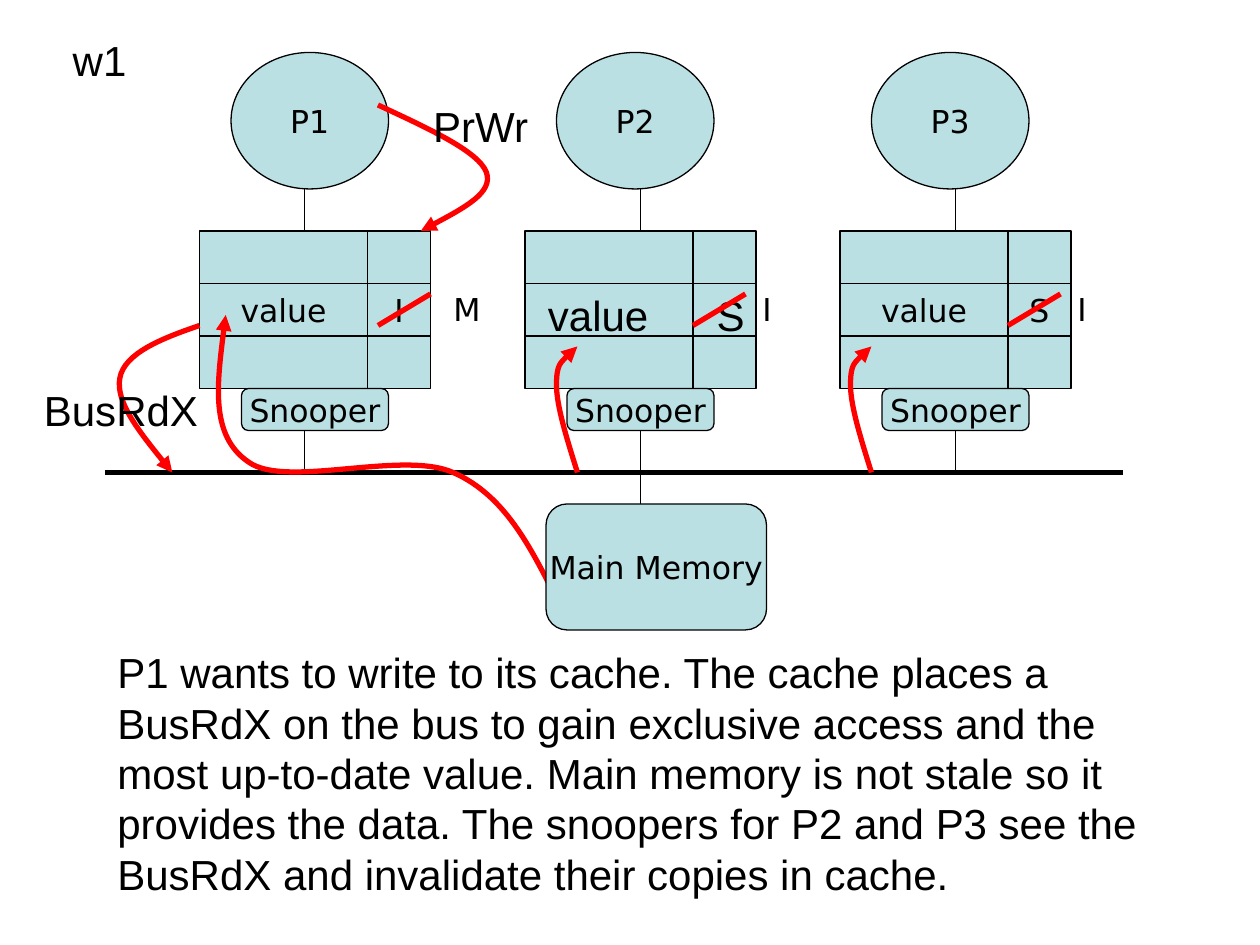
from lxml import etree
from pptx import Presentation
from pptx.dml.color import RGBColor
from pptx.enum.shapes import MSO_CONNECTOR, MSO_SHAPE
from pptx.enum.text import MSO_ANCHOR, MSO_AUTO_SIZE, PP_ALIGN
from pptx.oxml.ns import qn
from pptx.util import Pt

STRAIGHT = MSO_CONNECTOR.STRAIGHT
OVAL, RECT, ROUND = MSO_SHAPE.OVAL, MSO_SHAPE.RECTANGLE, MSO_SHAPE.ROUNDED_RECTANGLE
MIDDLE, CENTER = MSO_ANCHOR.MIDDLE, PP_ALIGN.CENTER
GROW = MSO_AUTO_SIZE.SHAPE_TO_FIT_TEXT
BLACK = RGBColor(0x00, 0x00, 0x00)
RED = RGBColor(0xFF, 0x00, 0x00)
PALE_BLUE = RGBColor(0xBB, 0xE0, 0xE3)
SANS, ARIAL = "DejaVu Sans", "Arial"
THIN, RED_WIDTH, BUS_WIDTH = 0.74, 3, 3.26

CACHE_TOP, ROW_H, VALUE_W, STATE_W = 132, 30, 96, 36
BUS_Y = 270
NODES = [
    ("P1", 114, 174, "value", "I"),
    ("P2", 300, 366, "", ""),
    ("P3", 480, 546, "value", "S"),
]
STRIKES = [(216, 252, "M"), (396, 428.5, "I"), (576, 608.5, "I")]
LABELS = [
    ("w1", 34.5, 16, 45, 36),
    ("value", 306, 162, 76, 36),
    ("S", 402.5, 162, 30, 36),
    ("PrWr", 240.5, 54, 69, 36),
    ("BusRdX", 18, 216, 106, 36),
]
WRITE_ARROW = [(216, 60), (245, 73.5), (273.5, 86.5), (278, 98.5),
               (282, 110), (261.5, 121), (240.5, 132)]
BUS_ARROW = [(114, 186), (92, 193.5), (71, 202), (68.5, 216),
             (66, 229.5), (82, 250), (98.5, 270)]
FILL_ARROW = [(318, 342), (303, 312.5), (288.5, 283), (259, 270),
              (229.5, 257), (163.5, 279.5), (142, 264),
              (120, 249), (124.5, 214.5), (129, 180)]
SNOOP_ARROW = [(12, 270), (6, 251), (0, 232), (0, 220),
               (0, 208), (6, 203), (12, 198)]
EXPLANATION = (
    "P1 wants to write to its cache. The cache places a BusRdX on the bus to gain "
    "exclusive access and the most up-to-date value. Main memory is not stale so it "
    "provides the data. The snoopers for P2 and P3 see the BusRdX and invalidate "
    "their copies in cache."
)


def set_text(shape, text, font, size):
    """Write one paragraph in black and return it."""
    p = shape.text_frame.paragraphs[0]
    p.text = text
    p.font.name, p.font.size = font, Pt(size)
    p.font.color.rgb = BLACK
    return p


def add_box(s, kind, x, y, w, h, text=""):
    """Add a pale blue outlined shape with centred text."""
    sp = s.shapes.add_shape(kind, Pt(x), Pt(y), Pt(w), Pt(h))
    sp.shadow.inherit = False
    sp.fill.solid()
    sp.fill.fore_color.rgb = PALE_BLUE
    sp.line.color.rgb = BLACK
    sp.line.width = Pt(THIN)
    if text:
        sp.text_frame.word_wrap = False
        sp.text_frame.vertical_anchor = MIDDLE
        set_text(sp, text, SANS, 18).alignment = CENTER


def add_label(s, text, x, y, w, h, font=ARIAL, size=24, wrap=False):
    """Add a text box that grows with its text and return its paragraph."""
    sp = s.shapes.add_textbox(Pt(x), Pt(y), Pt(w), Pt(h))
    sp.text_frame.word_wrap = wrap
    sp.text_frame.auto_size = GROW
    return set_text(sp, text, font, size)


def add_line(s, x1, y1, x2, y2, color=BLACK, width=THIN):
    """Add a straight line without a shadow."""
    line = s.shapes.add_connector(STRAIGHT, Pt(x1), Pt(y1), Pt(x2), Pt(y2))
    line.line.color.rgb = color
    line.line.width = Pt(width)
    etree.SubElement(line._element.spPr, qn("a:effectLst"))


def add_curve(s, points):
    """Add a red Bezier arrow from a start point and triples of control points."""
    builder = s.shapes.build_freeform(Pt(points[0][0]), Pt(points[0][1]))
    builder.add_line_segments([(Pt(x), Pt(y)) for x, y in points[1:]], close=False)
    sp = builder.convert_to_shape()
    sp.shadow.inherit = False
    sp.fill.background()
    sp.line.color.rgb = RED
    sp.line.width = Pt(RED_WIDTH)
    etree.SubElement(sp.line._get_or_add_ln(), qn("a:tailEnd"), type="triangle")
    outline = next(sp._element.iter(qn("a:path")))
    segments = outline.findall(qn("a:lnTo"))
    for i in range(0, len(segments), 3):
        curve = etree.SubElement(outline, qn("a:cubicBezTo"))
        for segment in segments[i:i + 3]:
            curve.append(segment[0])
            outline.remove(segment)


def add_node(s, name, x, stem_x, value, state):
    """Add a processor with its cache, snooper and bus connection."""
    add_box(s, OVAL, x + 18, 30, 90, 78, name)
    add_line(s, stem_x, 108, stem_x, CACHE_TOP)
    for row, texts in enumerate([("", ""), (value, state), ("", "")]):
        y = CACHE_TOP + row * ROW_H
        add_box(s, RECT, x, y, VALUE_W, ROW_H, texts[0])
        add_box(s, RECT, x + VALUE_W, y, STATE_W, ROW_H, texts[1])
    add_box(s, ROUND, x + 24, 222, 84, 24, "Snooper")
    add_line(s, stem_x, 246, stem_x, BUS_Y)


def main():
    """Build the cache coherence slide."""
    prs = Presentation()
    prs.slide_width, prs.slide_height = Pt(720), Pt(540)
    s = prs.slides.add_slide(prs.slide_layouts[6])
    add_line(s, 60, BUS_Y, 641.5, BUS_Y, width=BUS_WIDTH)
    for node in NODES:
        add_node(s, *node)
    add_line(s, 366, BUS_Y, 366, 294)
    for curve in (WRITE_ARROW, BUS_ARROW, FILL_ARROW):
        add_curve(s, curve)
    for label in LABELS:
        add_label(s, *label)
    add_label(s, EXPLANATION, 60, 366, 606, 151, wrap=True).space_before = Pt(15)
    for strike_x, mark_x, mark in STRIKES:
        add_line(s, strike_x, 186, strike_x + 30, 168, RED, RED_WIDTH)
        add_label(s, mark, mark_x, 162, 25, 29, SANS, 18, True)
    for left in (318, 486):
        add_curve(s, [(left + x, y) for x, y in SNOOP_ARROW])
    add_box(s, ROUND, 312, 288, 126, 72, "Main Memory")
    prs.save("out.pptx")


main()
